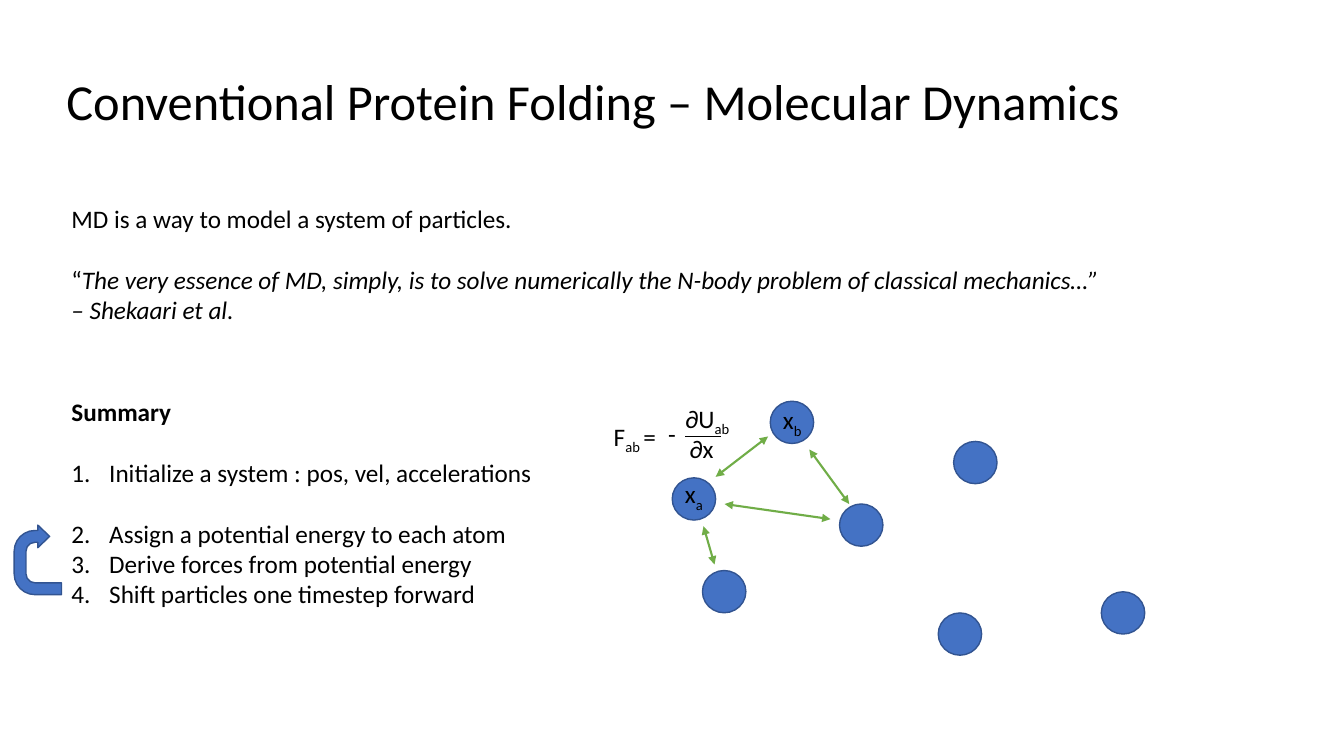
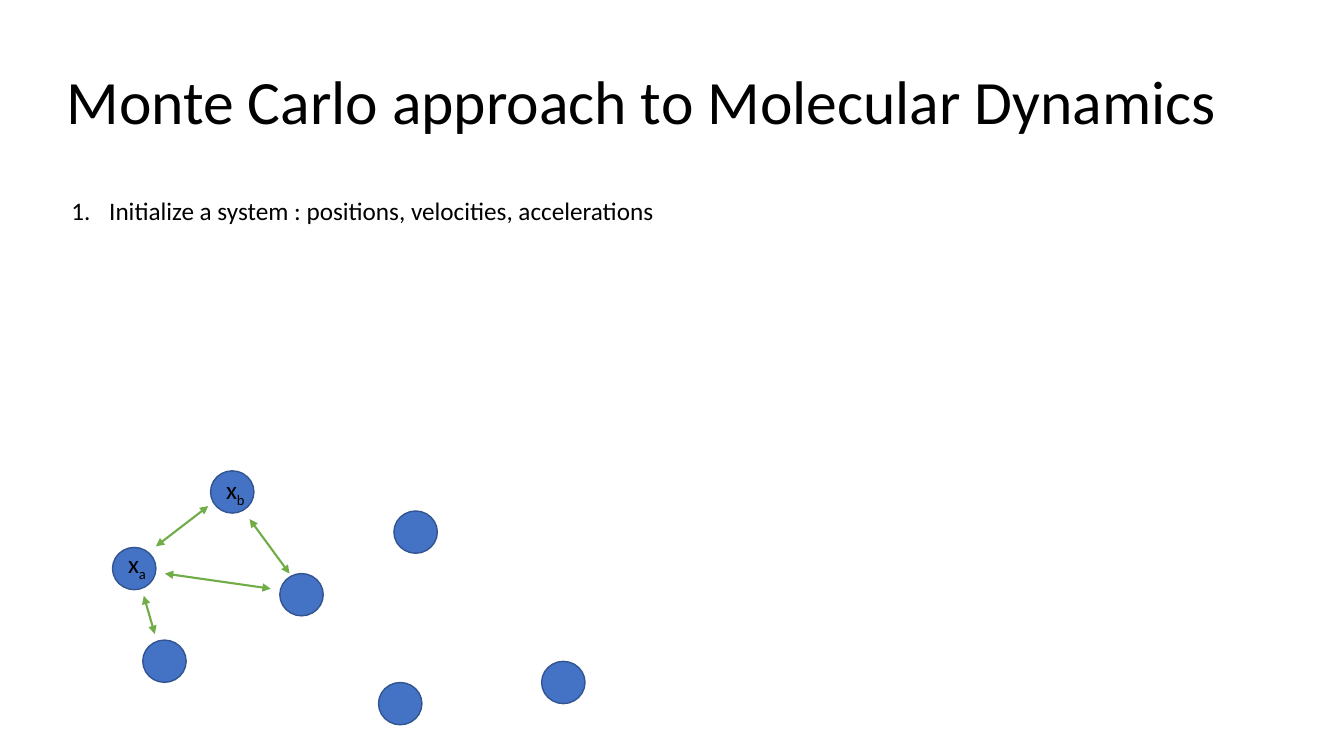
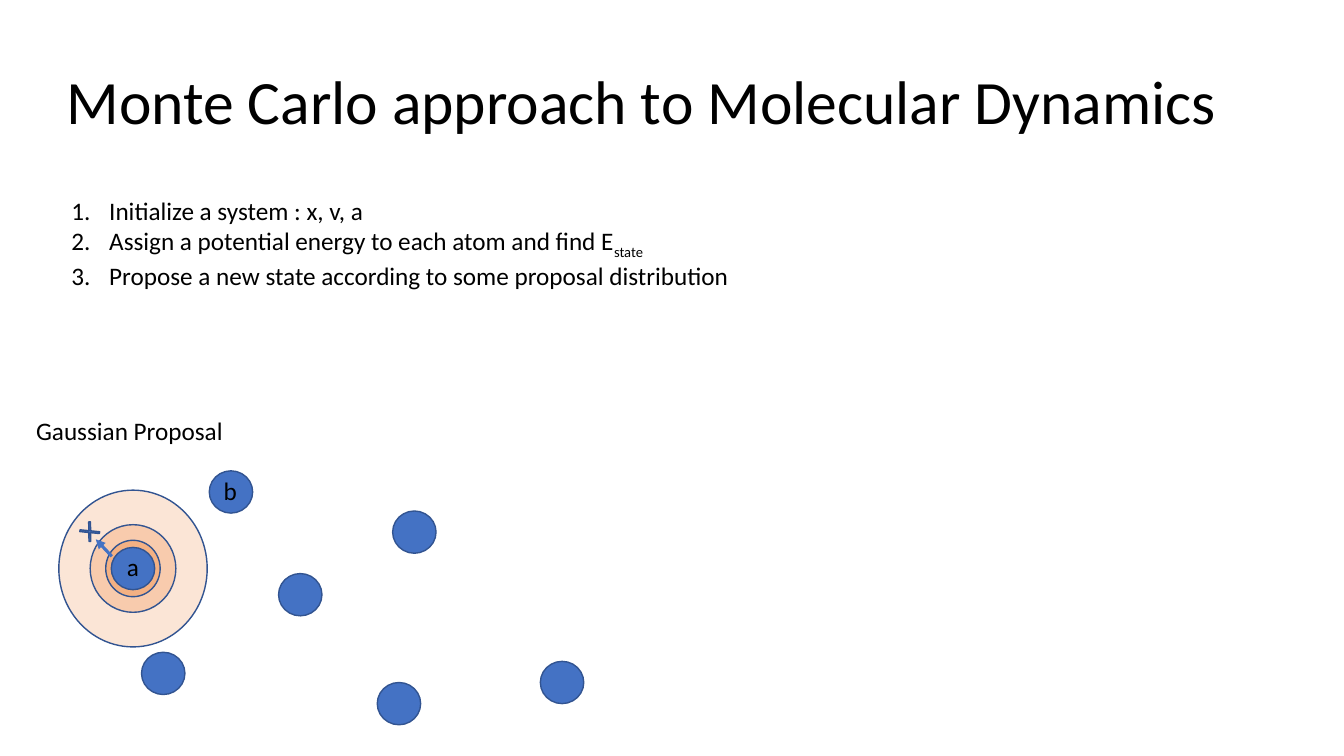
from pptx import Presentation
from pptx.dml.color import RGBColor
from pptx.enum.shapes import MSO_CONNECTOR as Connector, MSO_SHAPE as Preset
from pptx.enum.text import MSO_ANCHOR as Anchor
from pptx.oxml.xmlchemy import OxmlElement
from pptx.util import Pt

# Shared style
FONT = "Calibri"
BLACK, BLUE, OUTLINE, GREEN = "000000", "4472C4", "325491", "70AD47"
TEXT_SIZE = 18
LINE_GAP = 22
INDENT = 27
LABEL_HEIGHT = 28.8
ATOM_W, ATOM_H = 31, 30.2

# Particle system, measured from the top left of atom a
ATOMS = {
    "a": (0, 0), "b": (70, -54.7), "c": (119.5, 18.7), "d": (21.6, 66.2),
    "e": (306.5, 81.4), "f": (190, 96.5), "g": (201, -26),
}
FORCES = [
    (22.3, 34.6, 30.2, 61.9), (97.9, -20.2, 126.4, 18.7),
    (31, -0.7, 68.4, -29.5), (37.4, 18.7, 113, 29.5),
]


def color(value):
    return RGBColor.from_string(value)


def add_span(para, text, style="", size=TEXT_SIZE):
    span = para.add_run()
    span.text = text
    span.font.name = FONT
    span.font.size = Pt(size)
    span.font.color.rgb = color(BLACK)
    if style == "bold":
        span.font.bold = True
    elif style == "italic":
        span.font.italic = True
    elif style == "sub":
        span.font._element.set("baseline", "-25000")


def number(para):
    props = para._p.get_or_add_pPr()
    props.set("marL", str(Pt(INDENT)))
    props.set("indent", str(-Pt(INDENT)))
    bullet_font = OxmlElement("a:buFont")
    bullet_font.set("typeface", "+mj-lt")
    bullet = OxmlElement("a:buAutoNum")
    bullet.set("type", "arabicPeriod")
    props.extend([bullet_font, bullet])


def add_text(page, left, top, width, height, paragraphs, size=TEXT_SIZE,
             wrap=True, gaps=(), numbered=()):
    """Each paragraph is a list of spans: (text,) or (text, style)."""
    box = page.shapes.add_textbox(Pt(left), Pt(top), Pt(width), Pt(height))
    frame = box.text_frame
    frame.word_wrap = wrap
    for index, spans in enumerate(paragraphs):
        para = frame.add_paragraph() if index else frame.paragraphs[0]
        if index in gaps:
            para.space_before = Pt(LINE_GAP)
        if index in numbered:
            number(para)
        for span in spans:
            add_span(para, *span, size=size)
    return box


def add_label(page, left, top, width, *spans):
    add_text(page, left, top, width, LABEL_HEIGHT, [spans], wrap=False)


def add_title(page, text, size=44):
    box = add_text(page, 40.3, 22.3, 857, 104.4, [[(text,)]], size=size)
    box.text_frame.vertical_anchor = Anchor.MIDDLE
    box.text_frame.paragraphs[0].line_spacing = 0.9


def add_preset(page, preset, left, top, width, height, fill=BLUE,
               rotation=0, adjustments=()):
    shape = page.shapes.add_shape(preset, Pt(left), Pt(top), Pt(width), Pt(height))
    shape.shadow.inherit = False
    shape.fill.solid()
    shape.fill.fore_color.rgb = color(fill)
    shape.line.color.rgb = color(OUTLINE)
    shape.line.width = Pt(1)
    shape.rotation = rotation
    for index, value in enumerate(adjustments):
        shape.adjustments[index] = value


def add_line(page, x1, y1, x2, y2, stroke, width, ends=()):
    line = page.shapes.add_connector(Connector.STRAIGHT, Pt(x1), Pt(y1), Pt(x2), Pt(y2))
    line.line.color.rgb = color(stroke)
    line.line.width = Pt(width)
    for end in ends:
        arrowhead = OxmlElement(f"a:{end}End")
        arrowhead.set("type", "triangle")
        line.line._ln.append(arrowhead)
    line._element.spPr.append(OxmlElement("a:effectLst"))


def add_atoms(page, left, top, atoms=ATOMS):
    for dx, dy in atoms.values():
        add_preset(page, Preset.OVAL, left + dx, top + dy, ATOM_W, ATOM_H)


def add_force_system(page, left, top, label_shift):
    add_atoms(page, left, top)
    for x1, y1, x2, y2 in FORCES:
        add_line(page, left + x1, top + y1, left + x2, top + y2,
                 GREEN, 1.5, ("head", "tail"))
    for name, dy in (("a", -2.9), ("b", -1)):
        atom_x, atom_y = ATOMS[name]
        add_label(page, left + atom_x + label_shift, top + atom_y + dy, 28.4,
                  ("x",), (name, "sub"))


def build_conventional(page):
    add_title(page, "Conventional Protein Folding – Molecular Dynamics", size=36)
    add_text(page, 43.9, 141.8, 754.6, 94.3, [
        [("MD is a way to model a system of particles.",)],
        [("“",), ("The very essence of MD, simply, is to solve numerically the N-body "
                  "problem of classical mechanics…” – Shekaari et al.", "italic")],
    ], gaps=[1])
    add_text(page, 43.9, 279.4, 351.4, 159.8, [
        [("Summary", "bold")],
        [("Initialize a system : pos, vel, accelerations",)],
        [("Assign a potential energy to each atom",)],
        [("Derive forces from potential energy",)],
        [("Shift particles one timestep forward",)],
    ], gaps=[1, 2], numbered=range(1, 5))
    # Loop back from step 4 to step 2
    add_preset(page, Preset.U_TURN_ARROW, 2.2, 383, 49.7, 33.8, rotation=270,
               adjustments=(0.25, 0.239, 0.25, 0.438, 0.75))
    add_force_system(page, 480.2, 341.3, label_shift=2)
    # Force equation
    add_label(page, 431.3, 297.4, 46, ("F",), ("ab ", "sub"), ("=",))
    add_label(page, 470.2, 295.2, 18.7, ("-",))
    add_label(page, 482.4, 284.4, 24.5, ("∂",))
    add_label(page, 491.8, 284.4, 38.2, ("U",), ("ab", "sub"))
    add_line(page, 489.6, 311.8, 514.8, 311.8, BLACK, 1)
    add_label(page, 485.3, 306, 32.4, ("∂x",))


def build_initialize(page):
    add_title(page, "Monte Carlo approach to Molecular Dynamics")
    add_text(page, 43.9, 136.1, 435.6, LABEL_HEIGHT, [
        [("Initialize a system : positions, velocities, accelerations",)],
    ], numbered=[0])
    add_force_system(page, 80.4, 391, label_shift=4)


def build_proposal(page):
    add_title(page, "Monte Carlo approach to Molecular Dynamics")
    add_text(page, 43.9, 136.1, 575.3, 72.7, [
        [("Initialize a system : x, v, a",)],
        [("Assign a potential energy to each atom and find E",), ("state", "sub")],
        [("Propose a new state according to some proposal distribution",)],
    ], numbered=range(3))
    # Gaussian rings centred on atom a
    left, top = 79.5, 391
    center_x, center_y = left + ATOM_W / 2, top + ATOM_H / 2
    for width, height, fill in ((106, 112, "FBE5D6"), (61.2, 62.6, "F8CBAD"),
                                (38.9, 40.3, "F4B183")):
        add_preset(page, Preset.OVAL, center_x - width / 2, center_y - height / 2,
                   width, height, fill)
    add_atoms(page, left, top, {**ATOMS, "d": (21.6, 74.9)})
    add_label(page, 83.5, 390.2, 20.2, ("a",))
    add_label(page, 152.6, 336.2, 20.2, ("b",))
    # Proposed position
    add_preset(page, Preset.MATH_MULTIPLY, 54, 370.8, 20.2, 18, rotation=47.3,
               adjustments=(0.072,))
    add_line(page, 79.9, 397.4, 68.4, 385.2, BLUE, 2.25, ("tail",))
    add_label(page, 18.7, 293, 149, ("Gaussian Proposal",))


def main():
    deck = Presentation()
    deck.slide_width, deck.slide_height = Pt(960), Pt(540)
    for build in (build_conventional, build_initialize, build_proposal):
        build(deck.slides.add_slide(deck.slide_layouts[6]))
    deck.save("out.pptx")


if __name__ == "__main__":
    main()
